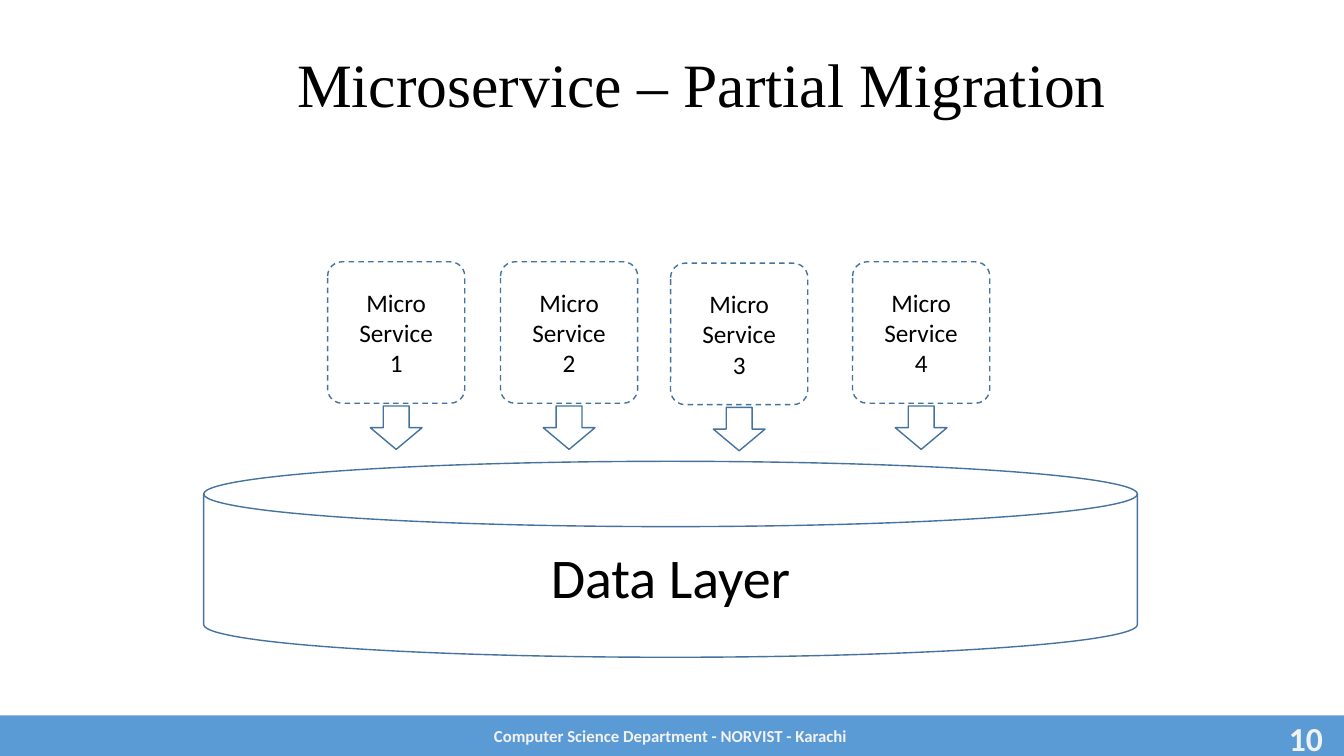
from pptx import Presentation
from pptx.dml.color import RGBColor
from pptx.enum.dml import MSO_LINE
from pptx.enum.shapes import MSO_SHAPE as Shape
from pptx.enum.text import MSO_ANCHOR as Anchor, PP_ALIGN as Align
from pptx.util import Pt

# Content
TITLE = "Microservice – Partial Migration "
FOOTER = "Computer Science Department - NORVIST - Karachi"
PAGE_NUMBER = "10"
DATA_LAYER = "Data Layer"
SERVICES = [  # number, left, top
    (1, 234, 187),
    (2, 357.5, 187),
    (3, 479, 188),
    (4, 609, 187),
]

# Sizes and colours
BOX_WIDTH, BOX_HEIGHT = 98, 101
ARROW_WIDTH, ARROW_HEIGHT, ARROW_GAP = 37, 31, 2
BLUE, OUTLINE, BLACK, PALE = "5B9BD5", "43739E", "000000", "F2F2F2"


def color(code):
    return RGBColor.from_string(code)


def write(box, text, size, code=BLACK, bold=False, align=Align.CENTER, font="Calibri"):
    frame = box.text_frame
    frame.text = text
    frame.word_wrap = True
    frame.vertical_anchor = Anchor.MIDDLE
    for para in frame.paragraphs:
        para.alignment = align
        for span in para.runs:
            span.font.name = font
            span.font.size = Pt(size)
            span.font.bold = bold
            span.font.color.rgb = color(code)


def add_shape(shapes, kind, *place, fill=None):
    shape = shapes.add_shape(kind, *map(Pt, place))
    shape.shadow.inherit = False
    if fill:
        shape.fill.solid()
        shape.fill.fore_color.rgb = color(fill)
        shape.line.fill.background()
    else:
        shape.fill.background()
        shape.line.color.rgb = color(OUTLINE)
        shape.line.width = Pt(1)
    return shape


deck = Presentation()
deck.slide_width, deck.slide_height = Pt(960), Pt(540)
page = deck.slides.add_slide(deck.slide_layouts[5])

# Footer bar with department and page number
add_shape(page.shapes, Shape.RECTANGLE, -2, 511, 962, 29, fill=BLUE)
department = page.shapes.add_textbox(Pt(317), Pt(511), Pt(324), Pt(29))
write(department, FOOTER, 12, PALE, bold=True)
number_box = page.shapes.add_textbox(Pt(736), Pt(515), Pt(216), Pt(25))
write(number_box, PAGE_NUMBER, 24, PALE, bold=True, align=Align.RIGHT)

# Title
title = page.shapes.title
title.left, title.top, title.width, title.height = Pt(120), Pt(29), Pt(774), Pt(67)
write(title, TITLE, 44, font="Times New Roman")
title.text_frame.paragraphs[0].line_spacing = 0.9

# Shared data layer
disk = add_shape(page.shapes, Shape.FLOWCHART_MAGNETIC_DISK, 145.5, 329.5, 667, 140)
write(disk, DATA_LAYER, 40)

# Services, each grouped with its arrow to the data layer
for number, left, top in SERVICES:
    group = page.shapes.add_group_shape()
    service = add_shape(group.shapes, Shape.ROUNDED_RECTANGLE,
                        left, top, BOX_WIDTH, BOX_HEIGHT)
    service.adjustments[0] = 0.105
    service.line.dash_style = MSO_LINE.DASH
    write(service, f"Micro\nService\n{number}", 18)
    add_shape(group.shapes, Shape.DOWN_ARROW,
              left + (BOX_WIDTH - ARROW_WIDTH) / 2, top + BOX_HEIGHT + ARROW_GAP,
              ARROW_WIDTH, ARROW_HEIGHT)

deck.save("out.pptx")
